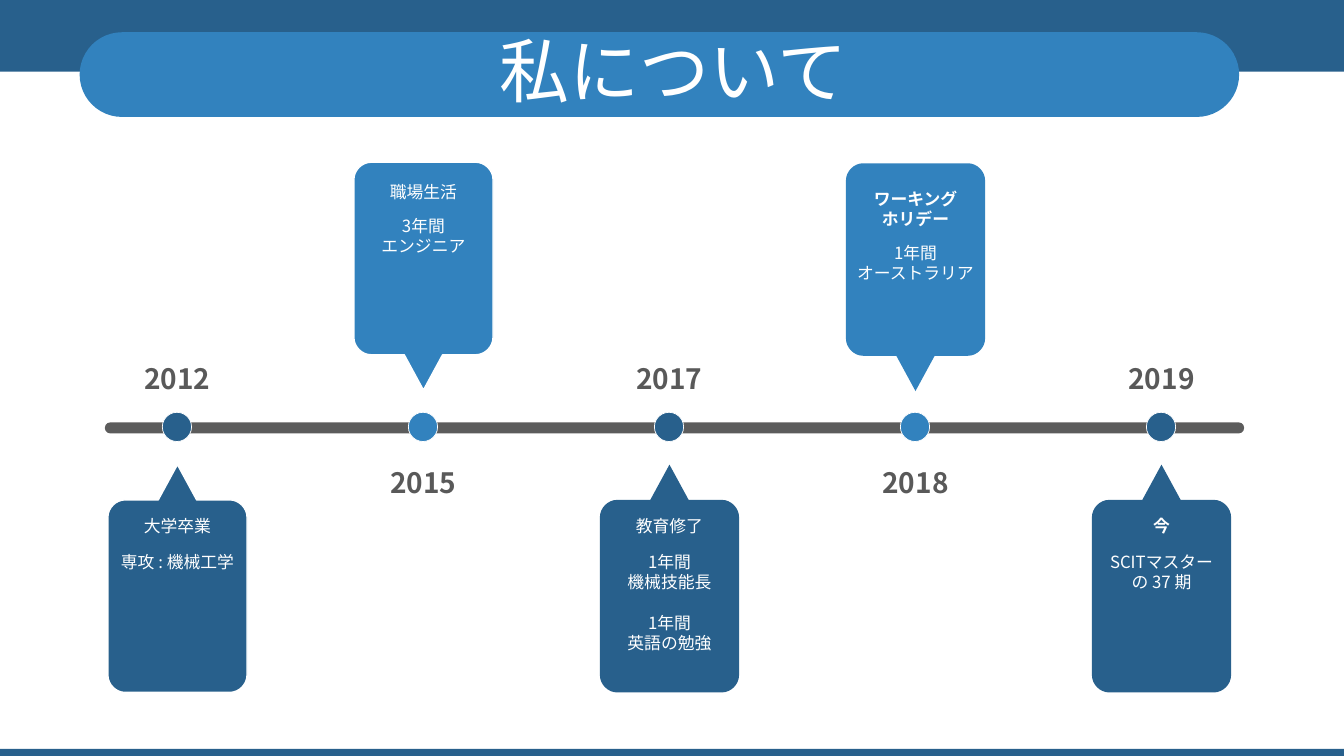
from dataclasses import dataclass

from lxml import etree
from pptx import Presentation
from pptx import util as u
from pptx.dml.color import RGBColor
from pptx.enum import lang, shapes, text
from pptx.oxml import ns

# Lengths are px, 100 to the inch
PX = 9144
FONT = "Noto Sans CJK JP"
NAVY = RGBColor(0x28, 0x60, 0x8C)
BLUE = RGBColor(0x32, 0x82, 0xBE)
GREY = RGBColor(0x59, 0x59, 0x59)
INK = RGBColor(0x18, 0x17, 0x17)
WHITE = RGBColor(0xFF, 0xFF, 0xFF)

# Timeline and card measures
FIRST_CENTER, PITCH, DOT, DOT_TOP = 176, 244, 29, 409
CARD_WIDTH, CARD_HEIGHT, POINTER, HALF_POINTER = 138, 191, 35, 19
RADIUS, HANDLE = 17, 8
RECT = shapes.MSO_SHAPE.RECTANGLE
ROUND = shapes.MSO_SHAPE.ROUNDED_RECTANGLE
OVAL = shapes.MSO_SHAPE.OVAL


@dataclass(frozen=True)
class Event:
    year: str
    above: bool
    card_top: int
    heading: list[str]
    heading_top: int
    groups: list[list[str]]
    details_top: int
    bold: bool = False
    outlined: bool = False


EVENTS = [
    Event("2012", False, 496, ["大学卒業"], 507, [["専攻 : 機械工学"]], 542, outlined=True),
    Event("2015", True, 161, ["職場生活"], 175, [["3年間", "エンジニア"]], 209, outlined=True),
    Event("2017", False, 496, ["教育修了"], 507,
          [["1年間", "機械技能長"], ["1年間", "英語の勉強"]], 542),
    Event("2018", True, 162, ["ワーキング", "ホリデー"], 182,
          [["1年間", "オーストラリア"]], 236, bold=True),
    Event("2019", False, 496, ["今"], 507, [["SCITマスターの 37 期"]], 542, bold=True),
]


def px(length: float) -> int:
    return round(length * PX)


def paint(shape, fill: RGBColor, line_width: float = 0) -> None:
    shape.shadow.inherit = False
    shape.fill.solid()
    shape.fill.fore_color.rgb = fill
    if line_width:
        shape.line.color.rgb = WHITE
        shape.line.width = u.Pt(line_width)
    else:
        shape.line.fill.background()


def add_preset(page, kind, left: int, top: int, width: int, height: int,
               fill: RGBColor, line_width: float = 0):
    shape = page.shapes.add_shape(kind, px(left), px(top), px(width), px(height))
    if kind == ROUND:
        shape.adjustments[0] = 0.5
    paint(shape, fill, line_width)
    return shape


def add_span(para, words: str, size: int, color: RGBColor, bold: bool = False) -> None:
    para.alignment = text.PP_ALIGN.CENTER
    span = para.add_run()
    span.text = words
    span.font.size = u.Pt(size)
    span.font.bold = bold
    span.font.color.rgb = color
    span.font.language_id = lang.MSO_LANGUAGE_ID.JAPANESE
    span.font.name = FONT
    east_asian = etree.SubElement(span.font._element, ns.qn("a:ea"))
    east_asian.set("typeface", FONT)


def add_text(page, center: int, top: int, height: int, groups: list[list[str]],
             size: int, color: RGBColor, bold: bool = False) -> None:
    box = page.shapes.add_textbox(px(center - CARD_WIDTH / 2), px(top),
                                  px(CARD_WIDTH), px(height))
    frame = box.text_frame
    frame.word_wrap = True
    frame.auto_size = text.MSO_AUTO_SIZE.SHAPE_TO_FIT_TEXT
    for group_index, group in enumerate(groups):
        for line_index, words in enumerate(group):
            first = group_index == line_index == 0
            para = frame.paragraphs[0] if first else frame.add_paragraph()
            if group_index and not line_index:
                para.space_before = u.Pt(15)
            add_span(para, words, size, color, bold)


def round_corners(shape, first_controls: list[int]) -> None:
    """Join each pair of control points and the end after it into one curve."""
    outline = next(shape.element.iter(ns.qn("a:path")))
    steps = list(outline)
    for first in first_controls:
        curve = etree.Element(ns.qn("a:cubicBezTo"))
        outline.replace(steps[first], curve)
        for step in steps[first:first + 3]:
            curve.append(step[0])
        for step in steps[first + 1:first + 3]:
            outline.remove(step)


def add_card(page, center: int, event: Event, fill: RGBColor) -> None:
    """Rounded card with a pointer towards the timeline."""
    half = CARD_WIDTH / 2
    near = event.card_top + (CARD_HEIGHT if event.above else 0)
    away = -1 if event.above else 1
    outline = [(0, -POINTER), (HALF_POINTER, 0)]
    controls = []
    # Corner, direction of arrival, direction of departure
    corners = [(half, 0, (1, 0), (0, 1)), (half, CARD_HEIGHT, (0, 1), (-1, 0)),
               (-half, CARD_HEIGHT, (-1, 0), (0, -1)), (-half, 0, (0, -1), (1, 0))]
    for x, y, (in_x, in_y), (out_x, out_y) in corners:
        controls.append(len(outline) + 1)
        outline += [(x - in_x * gap, y - in_y * gap) for gap in (RADIUS, HANDLE)]
        outline += [(x + out_x * gap, y + out_y * gap) for gap in (HANDLE, RADIUS)]
    outline.append((-HALF_POINTER, 0))
    points = [(px(center + x), px(near + away * y)) for x, y in outline]
    builder = page.shapes.build_freeform(*points[0], scale=1.0)
    builder.add_line_segments(points[1:], close=True)
    card = builder.convert_to_shape()
    round_corners(card, controls)
    paint(card, fill, 1 if event.outlined else 0)


def add_event(page, center: int, event: Event) -> None:
    fill = BLUE if event.above else NAVY
    add_preset(page, OVAL, center - 15, DOT_TOP, DOT, DOT, fill, 0.5)
    add_card(page, center, event, fill)
    add_text(page, center, event.heading_top, 10 + 20 * len(event.heading),
             [event.heading], 12, WHITE, event.bold)
    add_text(page, center, event.details_top, 50 if len(event.groups) == 1 else 111,
             event.groups, 12, WHITE)
    add_text(page, center, 457 if event.above else 354, 44, [[event.year]], 20, GREY, True)


def add_header(page) -> None:
    add_preset(page, RECT, 0, 0, 1333, 71, NAVY)
    add_preset(page, ROUND, 79, 32, 1150, 84, BLUE)
    add_preset(page, RECT, 0, 743, 1333, 7, NAVY)
    title = page.shapes.title
    title.left, title.top, title.width, title.height = map(px, (35, 37, 1266, 79))
    title.text_frame.vertical_anchor = text.MSO_ANCHOR.MIDDLE
    title.text_frame.auto_size = text.MSO_AUTO_SIZE.NONE
    para = title.text_frame.paragraphs[0]
    para.line_spacing = 0.8
    add_span(para, "私について", 50, WHITE)
    # Bring the title in front of the band
    title.element.getparent().append(title.element)


def add_axis(page) -> None:
    axis = add_preset(page, ROUND, 104, 419, 1130, 11, INK)
    color = axis.element.spPr.find(ns.qn("a:solidFill"))[0]
    etree.SubElement(color, ns.qn("a:alpha")).set("val", "70000")


def main() -> None:
    deck = Presentation()
    deck.slide_width, deck.slide_height = px(1333), px(750)
    page = deck.slides.add_slide(deck.slide_layouts.get_by_name("Title Only"))
    add_header(page)
    add_axis(page)
    for index, event in enumerate(EVENTS):
        add_event(page, FIRST_CENTER + index * PITCH, event)
    deck.save("out.pptx")


if __name__ == "__main__":
    main()
